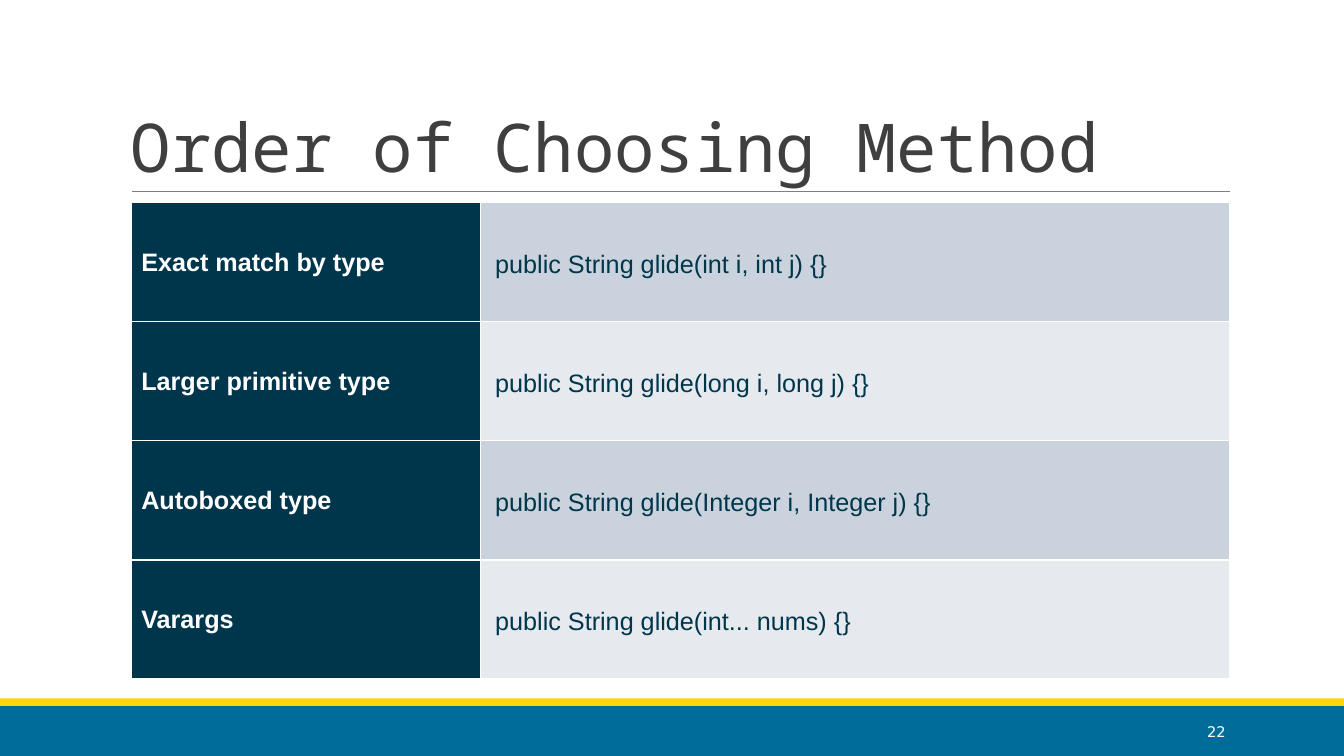
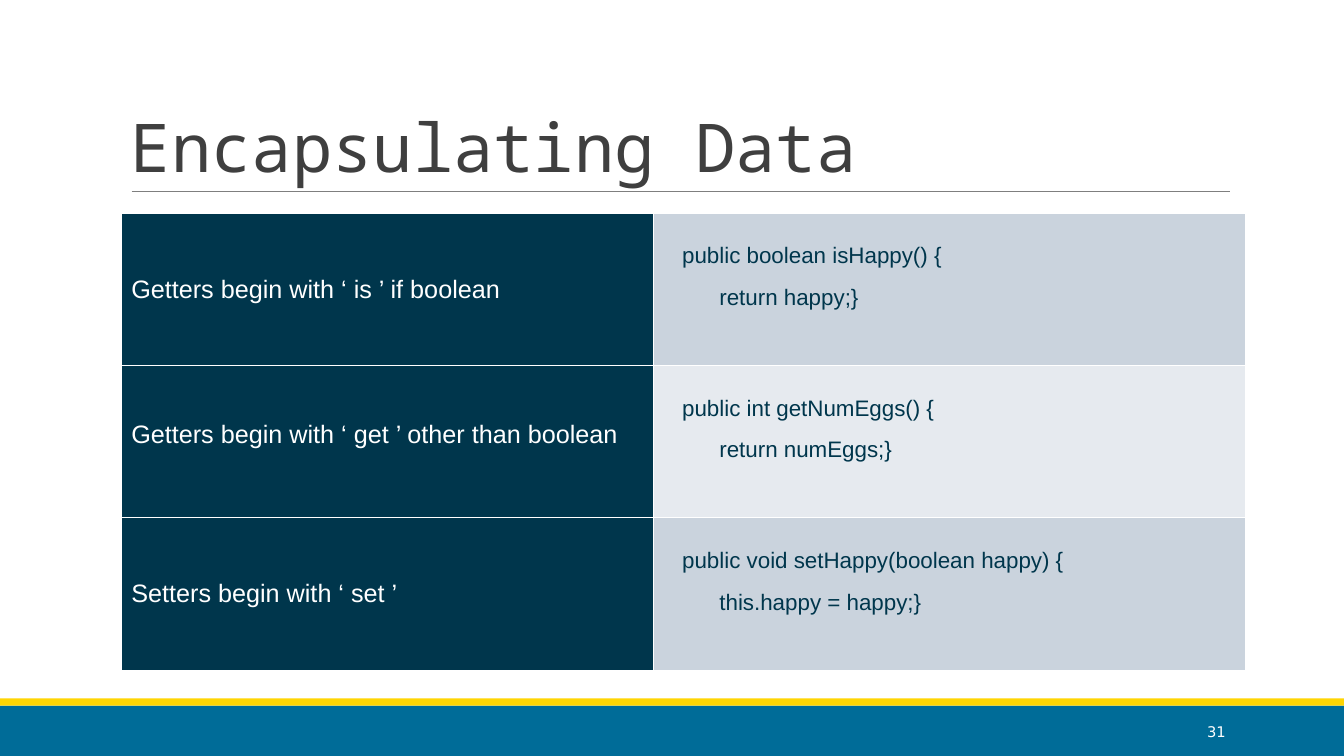
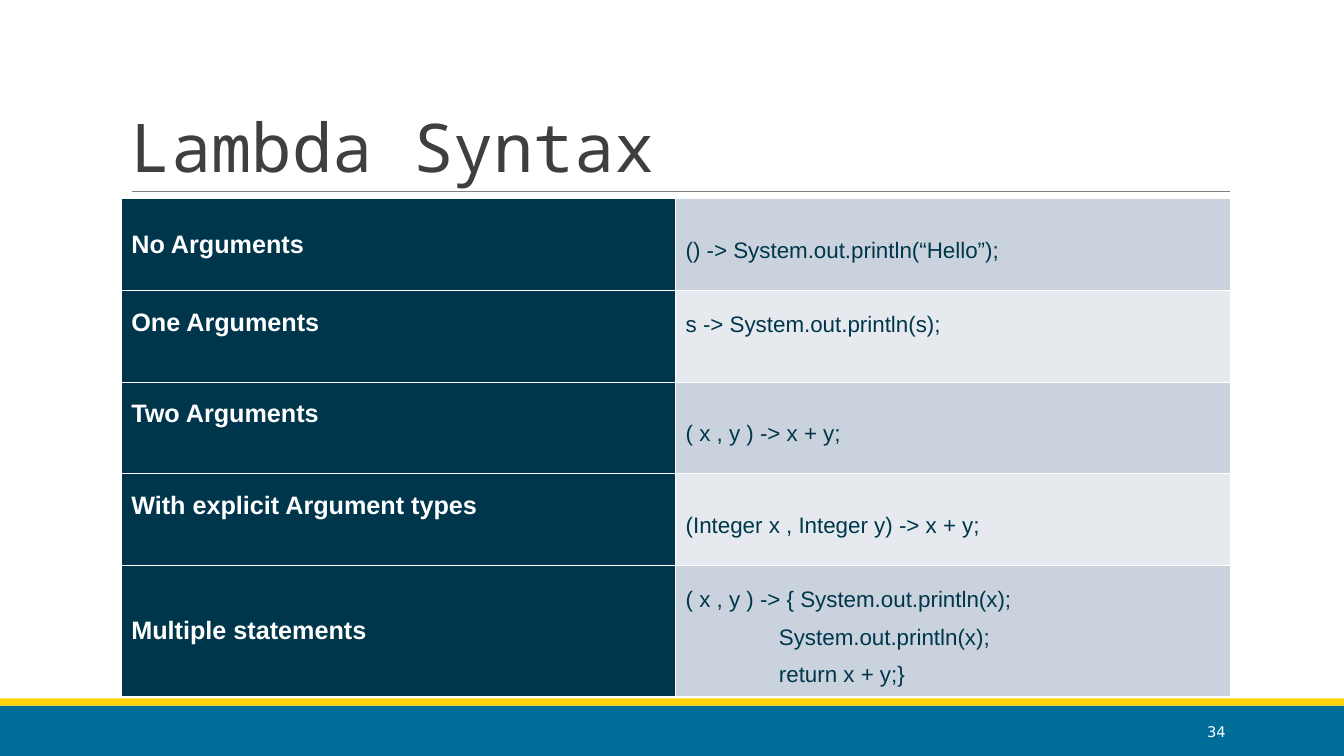
from dataclasses import dataclass

from lxml.etree import SubElement
from pptx import Presentation
from pptx.dml.color import RGBColor
from pptx.enum.shapes import MSO_CONNECTOR, MSO_SHAPE
from pptx.enum.text import MSO_ANCHOR, PP_ALIGN
from pptx.oxml.ns import qn
from pptx.slide import Slide
from pptx.table import _Cell
from pptx.util import Cm, Pt

WHITE = RGBColor(0xFF, 0xFF, 0xFF)
NAVY = RGBColor(0x00, 0x36, 0x4C)
BLUE = RGBColor(0x00, 0x6C, 0x98)
YELLOW = RGBColor(0xFF, 0xD5, 0x03)
GREY = RGBColor(0x7F, 0x7F, 0x7F)
CHARCOAL = RGBColor(0x3F, 0x3F, 0x3F)
ROW_FILLS = (RGBColor(0xCA, 0xD3, 0xDD), RGBColor(0xE6, 0xEA, 0xEF))

TITLE_FONT = "Noto Sans Mono"
BODY_FONT = "Arial"
NUMBER_FONT = "DejaVu Sans"

SLIDE_WIDTH = 33.87
SLIDE_HEIGHT = 19.05
MARGIN_X = 0.25
MARGIN_Y = 0.13
LABEL_SIZE = 18


@dataclass(frozen=True)
class Line:
    text: str
    indent: float = 0


@dataclass(frozen=True)
class Row:
    """A label and its code; the shifts move the text from the row's middle, in cm."""
    label: str
    code: tuple[Line, ...]
    height: float
    label_shift: float = 0
    code_shift: float = 0


@dataclass(frozen=True)
class TextStyle:
    size: float
    color: RGBColor
    bold: bool = False
    spacing: float = 1
    gap: float = 0
    margin: float = MARGIN_X


@dataclass(frozen=True)
class TableSlide:
    title: str
    number: int
    left: float
    top: float
    widths: tuple[float, float]
    label_style: TextStyle
    code_style: TextStyle
    rows: tuple[Row, ...]


def match_row(label: str, signature: str) -> Row:
    return Row(label, (Line(f"public String glide({signature}) {{}}"),), 3, code_shift=0.05)


def accessor_row(label: str, head: str, body: str, label_shift: float = 0) -> Row:
    return Row(label, (Line(head, 0.47), Line(body, 1.41)), 3.84, label_shift, -0.31)


def lambda_row(label: str, code: str, label_shift: float = 0, code_shift: float = 0) -> Row:
    return Row(label, (Line(code),), 2.31, label_shift, code_shift)


BOLD_LABEL = TextStyle(LABEL_SIZE, WHITE, bold=True)

TABLE_SLIDES = (
    TableSlide(
        "Order of Choosing Method", 22, 3.31, 5.11, (8.79, 18.9),
        BOLD_LABEL, TextStyle(18, NAVY, margin=0.38),
        (
            match_row("Exact match by type", "int i, int j"),
            match_row("Larger primitive type", "long i, long j"),
            match_row("Autoboxed type", "Integer i, Integer j"),
            match_row("Varargs", "int... nums"),
        ),
    ),
    TableSlide(
        "Encapsulating Data", 31, 3.06, 5.37, (13.41, 14.91),
        TextStyle(LABEL_SIZE, WHITE), TextStyle(16, NAVY, gap=12),
        (
            accessor_row("Getters begin with ‘ is ’ if boolean",
                         "public boolean isHappy() {", "return happy;}"),
            accessor_row("Getters begin with ‘ get ’ other than boolean",
                         "public int getNumEggs() {", "return numEggs;}", -0.18),
            accessor_row("Setters begin with ‘ set ’",
                         "public void setHappy(boolean happy) {", "this.happy = happy;}"),
        ),
    ),
    TableSlide(
        "Lambda Syntax", 34, 3.06, 5.01, (13.97, 13.97),
        BOLD_LABEL, TextStyle(16, NAVY, spacing=1.5),
        (
            lambda_row("No Arguments", "() -> System.out.println(“Hello”);"),
            lambda_row("One Arguments", "s -> System.out.println(s);", -0.35, -0.45),
            lambda_row("Two Arguments", "( x , y ) -> x + y;", -0.35),
            lambda_row("With explicit Argument types",
                       "(Integer x , Integer y) -> x + y;", -0.35),
            Row("Multiple statements",
                (Line("( x , y ) -> { System.out.println(x);"),
                 Line("System.out.println(x);", 2.35),
                 Line("return x + y;}", 2.35)), 3.06),
        ),
    ),
)


def add_band(page: Slide, top: float, height: float, color: RGBColor) -> None:
    band = page.shapes.add_shape(
        MSO_SHAPE.RECTANGLE, Cm(0), Cm(top), Cm(SLIDE_WIDTH), Cm(height))
    band.shadow.inherit = False
    band.fill.solid()
    band.fill.fore_color.rgb = color
    band.line.fill.background()


def add_title_rule(page: Slide) -> None:
    rule = page.shapes.add_connector(
        MSO_CONNECTOR.STRAIGHT, Cm(3.32), Cm(4.83), Cm(31), Cm(4.83))
    rule.line.color.rgb = GREY
    rule.line.width = Pt(0.75)
    SubElement(rule._element.spPr, qn("a:effectLst"))


def add_text(page: Slide, text: str, area: tuple[float, float, float, float],
             font: str, size: float, color: RGBColor, anchor: MSO_ANCHOR,
             align: PP_ALIGN, spacing: float = 1) -> None:
    box = page.shapes.add_textbox(*(Cm(length) for length in area))
    frame = box.text_frame
    frame.word_wrap = True
    frame.vertical_anchor = anchor
    frame.text = text
    para = frame.paragraphs[0]
    para.alignment = align
    para.line_spacing = spacing
    span = para.runs[0]
    span.font.name = font
    span.font.size = Pt(size)
    span.font.color.rgb = color


def add_frame(page: Slide, title: str, number: int) -> None:
    """Draw the bands, rule, title and slide number that every slide has."""
    add_band(page, 17.78, SLIDE_HEIGHT - 17.78, BLUE)
    add_band(page, 17.6, 0.18, YELLOW)
    add_title_rule(page)
    add_text(page, title, (3.05, 0.79, 27.94, 4.04), TITLE_FONT, 48, CHARCOAL,
             MSO_ANCHOR.BOTTOM, PP_ALIGN.LEFT, 0.85)
    add_text(page, str(number), (27.51, 17.93, 3.63, 1.02), NUMBER_FONT, 10.5, WHITE,
             MSO_ANCHOR.MIDDLE, PP_ALIGN.RIGHT)


def set_borders(cell: _Cell) -> None:
    properties = cell._tc.get_or_add_tcPr()
    for side in ("a:lnL", "a:lnR", "a:lnT", "a:lnB"):
        border = SubElement(properties, qn(side), w=str(Pt(1)))
        fill = SubElement(border, qn("a:solidFill"))
        SubElement(fill, qn("a:srgbClr"), val=str(WHITE))


def fill_cell(cell: _Cell, lines: tuple[Line, ...], style: TextStyle,
              fill: RGBColor, shift: float) -> None:
    set_borders(cell)
    cell.fill.solid()
    cell.fill.fore_color.rgb = fill
    cell.vertical_anchor = MSO_ANCHOR.MIDDLE
    cell.margin_left = cell.margin_right = Cm(style.margin)
    cell.margin_top = Cm(MARGIN_Y + 2 * max(shift, 0))
    cell.margin_bottom = Cm(MARGIN_Y + 2 * max(-shift, 0))
    cell.text_frame.text = "\n".join(line.text for line in lines)
    for index, (line, para) in enumerate(zip(lines, cell.text_frame.paragraphs)):
        para.line_spacing = style.spacing
        para.space_before = Pt(style.gap if index else 0)
        para._p.get_or_add_pPr().set("marL", str(Cm(line.indent)))
        span = para.runs[0]
        span.font.name = BODY_FONT
        span.font.size = Pt(style.size)
        span.font.bold = style.bold
        span.font.color.rgb = style.color


def add_code_table(page: Slide, content: TableSlide) -> None:
    height = sum(row.height for row in content.rows)
    table = page.shapes.add_table(
        len(content.rows), 2, Cm(content.left), Cm(content.top),
        Cm(sum(content.widths)), Cm(height)).table
    table.first_row = False
    table.horz_banding = False
    for column, width in zip(table.columns, content.widths):
        column.width = Cm(width)
    for index, row in enumerate(content.rows):
        table.rows[index].height = Cm(row.height)
        fill_cell(table.cell(index, 0), (Line(row.label),), content.label_style,
                  NAVY, row.label_shift)
        fill_cell(table.cell(index, 1), row.code, content.code_style,
                  ROW_FILLS[index % 2], row.code_shift)


def main() -> None:
    deck = Presentation()
    deck.slide_width = Cm(SLIDE_WIDTH)
    deck.slide_height = Cm(SLIDE_HEIGHT)
    for content in TABLE_SLIDES:
        page = deck.slides.add_slide(deck.slide_layouts[6])
        add_frame(page, content.title, content.number)
        add_code_table(page, content)
    deck.save("out.pptx")


if __name__ == "__main__":
    main()
